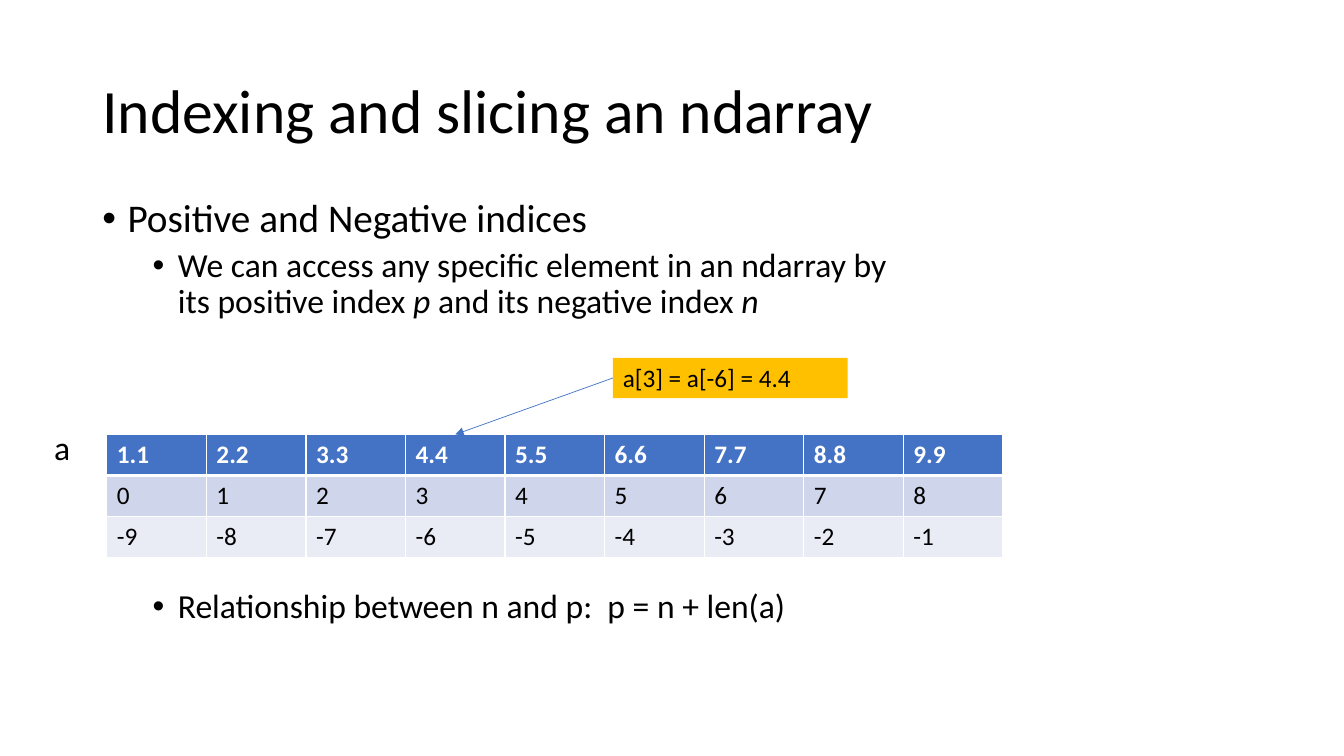
"""Build the slide on positive and negative indices of an ndarray."""
from dataclasses import dataclass

from lxml import etree
from pptx import Presentation
from pptx.dml.color import RGBColor
from pptx.enum.shapes import MSO_CONNECTOR, MSO_SHAPE
from pptx.enum.text import MSO_ANCHOR, PP_ALIGN
from pptx.oxml.ns import qn
from pptx.util import Emu, Inches, Pt

STRAIGHT = MSO_CONNECTOR.STRAIGHT
RECTANGLE = MSO_SHAPE.RECTANGLE
TOP, MIDDLE = MSO_ANCHOR.TOP, MSO_ANCHOR.MIDDLE
LEFT = PP_ALIGN.LEFT
LEFT_SIDE = 1
SLIDE_W, SLIDE_H = Inches(13.33), Inches(7.5)
GRID_COLS, GRID_ROWS = 160, 90


@dataclass(frozen=True)
class Theme:
    font: str = "Calibri"
    black: str = "000000"
    white: str = "FFFFFF"
    blue: str = "4472C4"
    gold: str = "FFC000"
    row_fills: tuple = ("4472C4", "CFD5EA", "E9EBF5")
    title: int = 44
    heading: int = 28
    body: int = 24
    small: int = 18


THEME = Theme()


@dataclass(frozen=True)
class Box:
    col: float
    row: float
    cols: float
    rows: float

    def place(self):
        return (across(self.col), down(self.row),
                across(self.cols), down(self.rows))


@dataclass(frozen=True)
class Bullet:
    runs: tuple
    size: int
    indent: float
    before: float


TITLE = Box(11, 4.8, 138, 17.4)
BODY = Box(11, 23.1, 99.5, 57.1)
TABLE = Box(12.72, 51.72, 106.68, 14.64)
CALLOUT = Box(72.96, 42.6, 27.96, 4.8)
LABEL = Box(5.28, 50.28, 4.32, 6)
BULLETS = (
    Bullet((("Positive and Negative indices", False),), THEME.heading, 0.25, 0),
    Bullet((("We can access any specific element in an ndarray by its positive index ", False),
            ("p ", True), ("and its negative index ", False), ("n", True)),
           THEME.body, 0.75, 5),
    Bullet((("Relationship between n and p:  p = n + len(a)", False),),
           THEME.body, 0.75, 192),
)
COUNT = 9
TARGET = 3
ROWS = (
    [f"{i}.{i}" for i in range(1, COUNT + 1)],
    [str(i) for i in range(COUNT)],
    [str(i) for i in range(-COUNT, 0)],
)


def across(cols: float) -> Emu:
    return Emu(round(SLIDE_W * cols / GRID_COLS))


def down(rows: float) -> Emu:
    return Emu(round(SLIDE_H * rows / GRID_ROWS))


def rgb(color: str) -> RGBColor:
    return RGBColor.from_string(color)


def add_text(p, text: str, *, size: int, color: str = THEME.black,
             bold: bool = False, italic: bool = False) -> None:
    r = p.add_run()
    r.text = text
    r.font.name, r.font.size = THEME.font, Pt(size)
    r.font.bold, r.font.italic = bold, italic
    r.font.color.rgb = rgb(color)


def add_box(s, box: Box, *, anchor=TOP, wrap: bool = True):
    tf = s.shapes.add_textbox(*box.place()).text_frame
    tf.word_wrap, tf.vertical_anchor = wrap, anchor
    return tf


def add_bullets(tf, bullets: tuple[Bullet, ...]) -> None:
    for i, bullet in enumerate(bullets):
        p = tf.add_paragraph() if i else tf.paragraphs[0]
        p.line_spacing = 0.9
        p.space_before = Pt(bullet.before)
        pPr = p._p.get_or_add_pPr()
        pPr.set("marL", str(Inches(bullet.indent)))
        pPr.set("indent", str(Inches(-0.25)))
        etree.SubElement(pPr, qn("a:buFont"), typeface="Arial")
        etree.SubElement(pPr, qn("a:buChar"), char="•")
        for text, italic in bullet.runs:
            add_text(p, text, size=bullet.size, italic=italic)


def add_border(cell, side: str, width: float) -> None:
    ln = etree.SubElement(cell._tc.get_or_add_tcPr(), qn(f"a:ln{side}"),
                          w=str(Pt(width)))
    fill = etree.SubElement(ln, qn("a:solidFill"))
    etree.SubElement(fill, qn("a:srgbClr"), val=THEME.white)


def add_array_table(s) -> None:
    table = s.shapes.add_table(len(ROWS), COUNT, *TABLE.place()).table
    table.horz_banding = False
    for col in table.columns:
        col.width = across(TABLE.cols / COUNT)
    for i, values in enumerate(ROWS):
        table.rows[i].height = down(TABLE.rows / len(ROWS))
        header = i == 0
        widths = {"L": 1, "R": 1, "T": 3 if i == 1 else 1, "B": 3 if header else 1}
        for j, value in enumerate(values):
            cell = table.cell(i, j)
            for side, width in widths.items():
                add_border(cell, side, width)
            cell.fill.solid()
            cell.fill.fore_color.rgb = rgb(THEME.row_fills[i])
            add_text(cell.text_frame.paragraphs[0], value, size=THEME.small, bold=header,
                     color=THEME.white if header else THEME.black)


def add_callout(s, text: str):
    sp = s.shapes.add_shape(RECTANGLE, *CALLOUT.place())
    sp.shadow.inherit = False
    sp.fill.solid()
    sp.fill.fore_color.rgb = rgb(THEME.gold)
    sp.line.fill.background()
    tf = sp.text_frame
    tf.word_wrap, tf.vertical_anchor = True, TOP
    p = tf.paragraphs[0]
    p.alignment = LEFT
    add_text(p, text, size=THEME.small)
    return sp


def add_arrow(s, callout) -> None:
    x = across(TABLE.col + (TARGET + 0.5) * TABLE.cols / COUNT)
    line = s.shapes.add_connector(STRAIGHT, callout.left, callout.top, x, down(TABLE.row))
    line.begin_connect(callout, LEFT_SIDE)
    line.line.color.rgb = rgb(THEME.blue)
    line.line.width = Pt(0.5)
    etree.SubElement(line.line._get_or_add_ln(), qn("a:tailEnd"), type="triangle")
    etree.SubElement(line._element.spPr, qn("a:effectLst"))


def main() -> None:
    prs = Presentation()
    prs.slide_width, prs.slide_height = SLIDE_W, SLIDE_H
    s = prs.slides.add_slide(prs.slide_layouts[6])
    p = add_box(s, TITLE, anchor=MIDDLE).paragraphs[0]
    p.line_spacing = 0.9
    add_text(p, "Indexing and slicing an ndarray", size=THEME.title)
    add_bullets(add_box(s, BODY), BULLETS)
    add_array_table(s)
    add_arrow(s, add_callout(s, "a[3] = a[-6] = 4.4"))
    add_text(add_box(s, LABEL, wrap=False).paragraphs[0], "a", size=THEME.body)
    prs.save("out.pptx")


if __name__ == "__main__":
    main()
